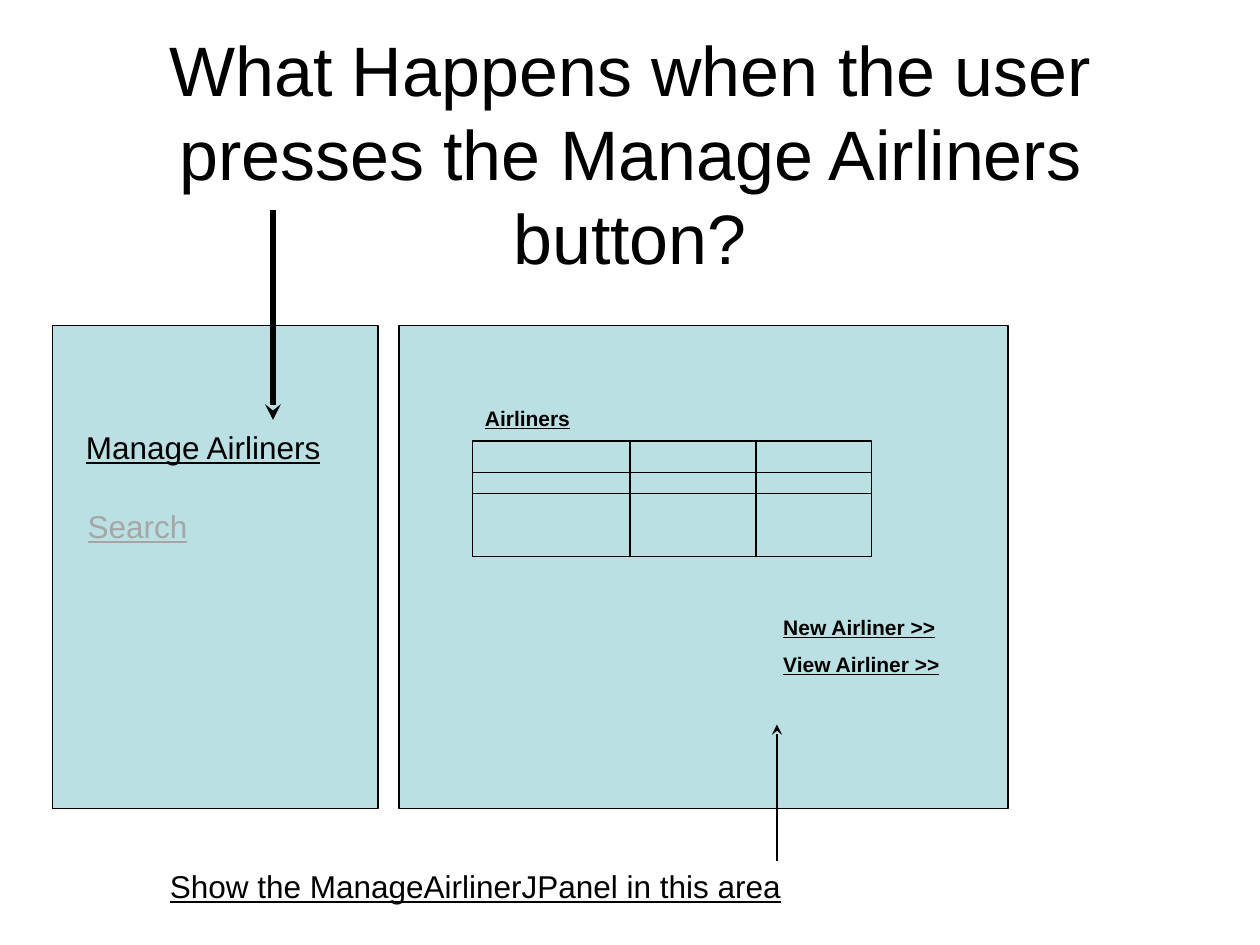
from dataclasses import dataclass

from lxml import etree
from pptx import Presentation
from pptx.dml.color import RGBColor
from pptx.enum import shapes, text
from pptx.oxml.ns import qn
from pptx.util import Pt


@dataclass(frozen=True)
class Theme:
    font: str = "Arial"
    ink: str = "000000"
    mute: str = "A6A6A6"
    fill: str = "BBE0E3"
    head: int = 40
    body: int = 18
    small: int = 12
    thin: float = 0.75
    thick: float = 3


class Board:
    def __init__(self, theme, slide):
        self.theme = theme
        self.slide = slide

    def run(self, para, words, size, color=None, bold=False, under=False):
        run = para.add_run()
        run.text = words
        font = run.font
        font.name = self.theme.font
        font.size = Pt(size)
        font.bold = bold
        font.underline = under
        font.color.rgb = RGBColor.from_string(color or self.theme.ink)

    def title(self, words, x, y, w, h):
        shape = self.slide.shapes.title
        shape.left, shape.top, shape.width, shape.height = map(Pt, (x, y, w, h))
        frame = shape.text_frame
        frame.word_wrap = True
        frame.auto_size = text.MSO_AUTO_SIZE.NONE
        frame.vertical_anchor = text.MSO_ANCHOR.MIDDLE
        para = frame.paragraphs[0]
        para.alignment = text.PP_ALIGN.CENTER
        self.run(para, words, self.theme.head)

    def panel(self, x, y, w, h):
        shape = self.slide.shapes.add_shape(
            shapes.MSO_SHAPE.RECTANGLE, *map(Pt, (x, y, w, h)))
        shape.shadow.inherit = False
        shape.fill.solid()
        shape.fill.fore_color.rgb = RGBColor.from_string(self.theme.fill)
        shape.line.color.rgb = RGBColor.from_string(self.theme.ink)
        shape.line.width = Pt(self.theme.thin)

    def label(self, words, x, y, w, h, size, color=None, bold=False):
        box = self.slide.shapes.add_textbox(*map(Pt, (x, y, w, h)))
        frame = box.text_frame
        frame.word_wrap = False
        frame.auto_size = text.MSO_AUTO_SIZE.SHAPE_TO_FIT_TEXT
        self.run(frame.paragraphs[0], words, size, color, bold, under=True)

    def line(self, x1, y1, x2, y2, width=None, arrow=False):
        link = self.slide.shapes.add_connector(
            shapes.MSO_CONNECTOR.STRAIGHT, *map(Pt, (x1, y1, x2, y2)))
        link.line.color.rgb = RGBColor.from_string(self.theme.ink)
        link.line.width = Pt(width or self.theme.thin)
        if arrow:
            tail = etree.SubElement(link.line._get_or_add_ln(), qn("a:tailEnd"))
            tail.set("type", "stealth")
        etree.SubElement(link._element.spPr, qn("a:effectLst"))

    def grid(self, x, y, w, h, rows, cols):
        self.panel(x, y, w, h)
        for row in rows:
            self.line(x, row, x + w, row)
        for col in cols:
            self.line(col, y, col, y + h)


def main():
    deck = Presentation()
    deck.slide_width, deck.slide_height = Pt(720), Pt(540)
    theme = Theme()
    board = Board(theme, deck.slides.add_slide(deck.slide_layouts[5]))

    board.title("What Happens when the user presses the Manage Airliners button?",
                36, 42, 648, 90)
    board.panel(30, 186, 186, 276)
    board.panel(228, 186, 348, 276)

    board.label("Manage Airliners", 42, 241, 150, 29, theme.body)
    board.label("Search", 43, 286, 72, 29, theme.body, theme.mute)
    board.label("Show the ManageAirlinerJPanel in this area",
                90, 492, 367, 29, theme.body)

    board.grid(270, 252, 228, 66, rows=(270, 282), cols=(360, 432))
    for words, x, y, w in (
        ("Airliners", 270, 228, 63),
        ("New Airliner >>", 440.5, 347.5, 102),
        ("View Airliner >>", 440.5, 368.5, 105),
    ):
        board.label(words, x, y, w, 21.6, theme.small, bold=True)

    board.line(444, 492, 444, 414, arrow=True)
    board.line(156, 120, 156, 240, theme.thick, arrow=True)

    deck.save("out.pptx")


if __name__ == "__main__":
    main()
